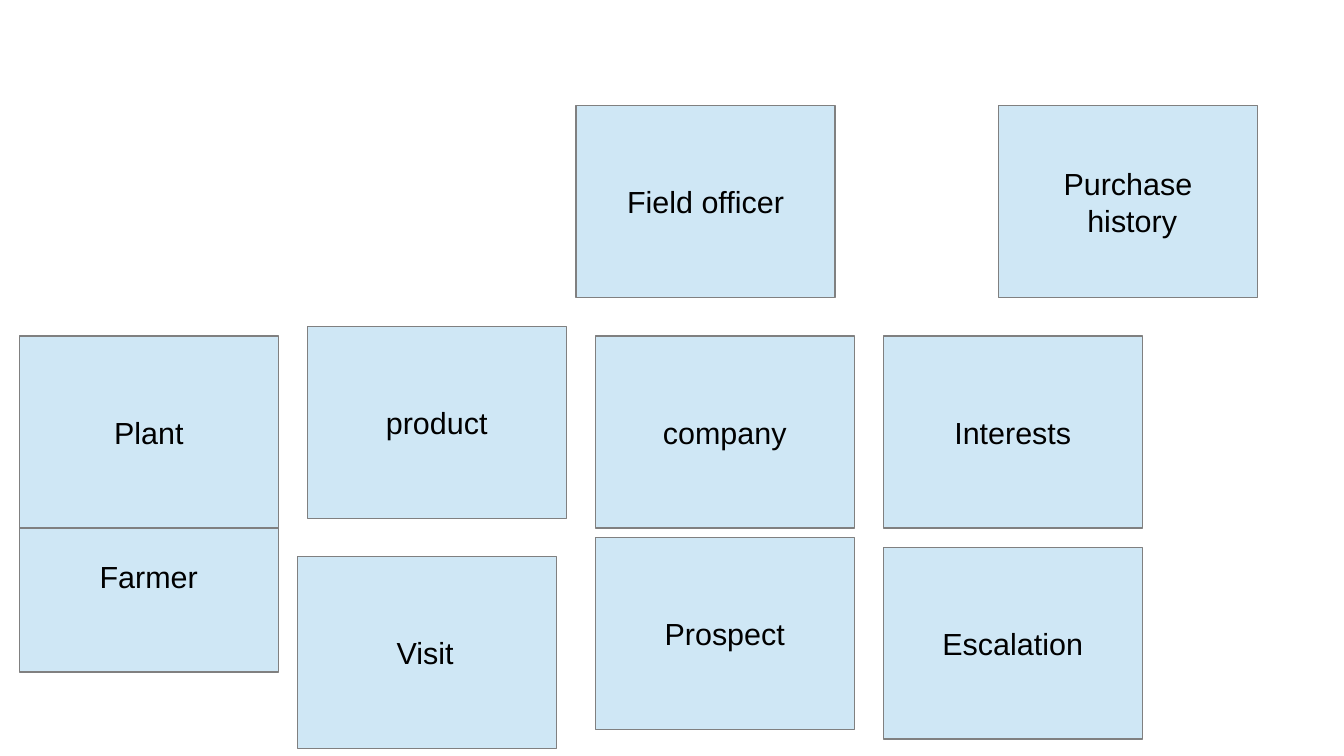
from pptx import Presentation
from pptx.dml.color import RGBColor
from pptx.enum.shapes import MSO_SHAPE as Shape
from pptx.enum.text import MSO_ANCHOR as Anchor, PP_ALIGN as Align
from pptx.util import Cm, Pt

PALE_BLUE = RGBColor(0xCF, 0xE7, 0xF5)
GREY = RGBColor(0x80, 0x80, 0x80)
BLACK = RGBColor(0, 0, 0)
CARD_WIDTH, CARD_HEIGHT = Cm(5.4), Cm(4)


def write(frame, text, size=18, font="Arial", color=BLACK, align=Align.CENTER):
    """Fill a text frame, one paragraph per line of text."""
    frame.text = text
    frame.word_wrap = False
    frame.vertical_anchor = Anchor.MIDDLE
    for paragraph in frame.paragraphs:
        paragraph.alignment = align
        for run in paragraph.runs:
            run.font.size = Pt(size)
            run.font.name = font
            run.font.color.rgb = color


prs = Presentation()
prs.slide_width, prs.slide_height = Cm(28), Cm(15.75)
slide = prs.slides.add_slide(prs.slide_layouts[6])

# Entity cards, back to front: label, left and top in cm
entities = [
    ("Farmer", 0.4, 10),
    ("company", 12.4, 7),
    ("Field officer", 12, 2.2),
    ("product", 6.4, 6.8),
    ("Plant", 0.4, 7),
    ("Interests", 18.4, 7),
    ("Prospect", 12.4, 11.2),
    ("Visit\t", 6.2, 11.6),
    ("Escalation", 18.4, 11.4),
    ("Purchase\n history", 20.8, 2.2),
]
for label, left, top in entities:
    card = slide.shapes.add_shape(
        Shape.RECTANGLE, Cm(left), Cm(top), CARD_WIDTH, CARD_HEIGHT)
    card.shadow.inherit = False
    card.fill.solid()
    card.fill.fore_color.rgb = PALE_BLUE
    card.line.color.rgb = GREY
    card.line.width = Pt(0)
    write(card.text_frame, label)

prs.save("out.pptx")
